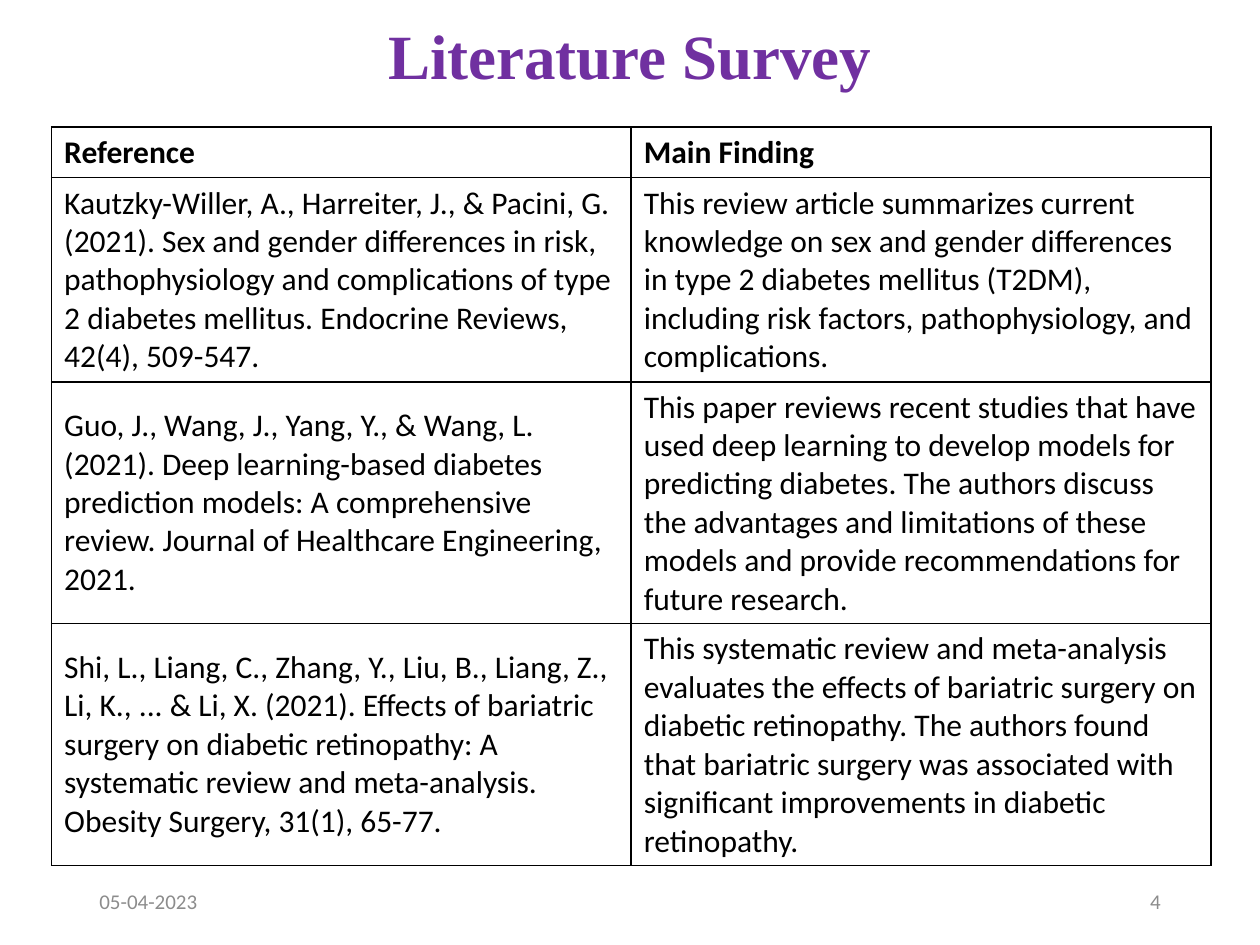
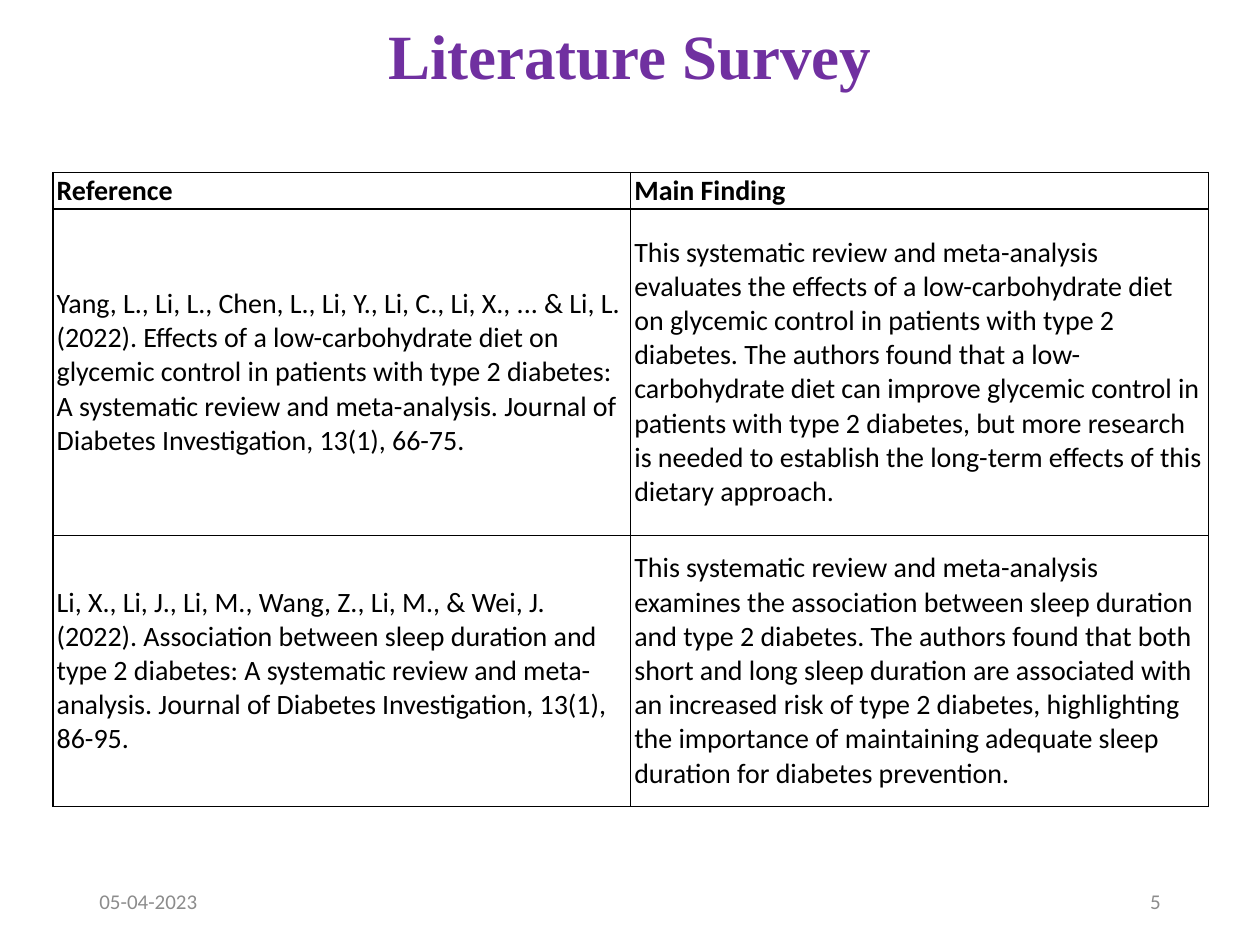
"""Builds two literature survey slides with reference tables."""
from lxml.etree import SubElement
from pptx import Presentation
from pptx.dml.color import RGBColor
from pptx.enum.text import MSO_ANCHOR as Anchor, MSO_AUTO_SIZE as AutoSize, PP_ALIGN as Align
from pptx.oxml import parse_xml
from pptx.oxml.ns import nsdecls, qn
from pptx.util import Inches, Pt

PURPLE = RGBColor(0x70, 0x30, 0xA0)
GREY = RGBColor(0x8C, 0x8C, 0x8C)
BLACK = RGBColor(0, 0, 0)
WHITE = RGBColor(0xFF, 0xFF, 0xFF)

HEADER = ("Reference", "Main Finding")
REVIEWS_2021 = [
    ("Kautzky-Willer, A., Harreiter, J., & Pacini, G. (2021). Sex and gender differences in risk, "
     "pathophysiology and complications of type 2 diabetes mellitus. Endocrine Reviews, 42(4), 509-547.",
     "This review article summarizes current knowledge on sex and gender differences in type 2 diabetes "
     "mellitus (T2DM), including risk factors, pathophysiology, and complications."),
    ("Guo, J., Wang, J., Yang, Y., & Wang, L. (2021). Deep learning-based diabetes prediction models: "
     "A comprehensive review. Journal of Healthcare Engineering, 2021.",
     "This paper reviews recent studies that have used deep learning to develop models for predicting "
     "diabetes. The authors discuss the advantages and limitations of these models and provide "
     "recommendations for future research."),
    ("Shi, L., Liang, C., Zhang, Y., Liu, B., Liang, Z., Li, K., ... & Li, X. (2021). Effects of bariatric "
     "surgery on diabetic retinopathy: A systematic review and meta-analysis. Obesity Surgery, 31(1), 65-77.",
     "This systematic review and meta-analysis evaluates the effects of bariatric surgery on diabetic "
     "retinopathy. The authors found that bariatric surgery was associated with significant improvements "
     "in diabetic retinopathy."),
]
REVIEWS_2022 = [
    ("Yang, L., Li, L., Chen, L., Li, Y., Li, C., Li, X., ... & Li, L. (2022). Effects of a "
     "low-carbohydrate diet on glycemic control in patients with type 2 diabetes: A systematic review and "
     "meta-analysis. Journal of Diabetes Investigation, 13(1), 66-75.",
     "This systematic review and meta-analysis evaluates the effects of a low-carbohydrate diet on glycemic "
     "control in patients with type 2 diabetes. The authors found that a low-carbohydrate diet can improve "
     "glycemic control in patients with type 2 diabetes, but more research is needed to establish the "
     "long-term effects of this dietary approach."),
    ("Li, X., Li, J., Li, M., Wang, Z., Li, M., & Wei, J. (2022). Association between sleep duration and "
     "type 2 diabetes: A systematic review and meta-analysis. Journal of Diabetes Investigation, 13(1), 86-95.",
     "This systematic review and meta-analysis examines the association between sleep duration and type 2 "
     "diabetes. The authors found that both short and long sleep duration are associated with an increased "
     "risk of type 2 diabetes, highlighting the importance of maintaining adequate sleep duration for "
     "diabetes prevention."),
]


def write(tf, text, size=18, font="Calibri", color=BLACK, bold=False, align=Align.LEFT, spacing=None):
    """Write one formatted paragraph into a text frame."""
    tf.word_wrap = True
    p = tf.paragraphs[0]
    p.alignment = align
    p.line_spacing = spacing
    r = p.add_run()
    r.text = text
    r.font.size, r.font.name, r.font.bold = Pt(size), font, bold
    r.font.color.rgb = color


def add_borders(cell, color=BLACK, width=1):
    """Draw the four borders of a table cell."""
    tc_pr = cell._tc.get_or_add_tcPr()
    for i, side in enumerate(("lnL", "lnR", "lnT", "lnB")):
        ln = parse_xml(f'<a:{side} {nsdecls("a")} w="{Pt(width)}"/>')
        fill = SubElement(ln, qn("a:solidFill"))
        SubElement(fill, qn("a:srgbClr"), val=str(color))
        tc_pr.insert(i, ln)


class Deck:
    """Holds the shared style and the current slide."""

    def __init__(self):
        """Start an empty presentation."""
        self.prs = Presentation()
        self.prs.slide_width, self.prs.slide_height = Inches(10), Inches(7.5)
        self.s = None

    def slide(self, title, date, number):
        """Add a slide with its title and footers."""
        self.s = self.prs.slides.add_slide(self.prs.slide_layouts[5])
        self.title(title)
        self.footer(date, 0.69, Align.LEFT)
        self.footer(number, 7.06, Align.RIGHT)

    def title(self, text):
        """Place and fill the title placeholder."""
        sp = self.s.shapes.title
        sp.left, sp.top, sp.width, sp.height = (Inches(v) for v in (0.69, 0.18, 8.62, 0.58))
        tf = sp.text_frame
        tf.auto_size, tf.vertical_anchor = AutoSize.NONE, Anchor.MIDDLE
        write(tf, text, size=36, font="Times New Roman", color=PURPLE, bold=True,
              align=Align.CENTER, spacing=0.9)

    def footer(self, text, left, align):
        """Add one footer text box."""
        sp = self.s.shapes.add_textbox(Inches(left), Inches(6.95), Inches(2.25), Inches(0.4))
        sp.text_frame.vertical_anchor = Anchor.MIDDLE
        write(sp.text_frame, text, size=12, color=GREY, align=align)

    def table(self, reviews, left, top, width, heights, size, inset=(0.1, 0.05)):
        """Add a bordered table of references and findings."""
        rows = [HEADER, *reviews]
        table = self.s.shapes.add_table(len(rows), len(HEADER), Inches(left), Inches(top),
                                        Inches(width), Inches(sum(heights))).table
        table.first_row = table.horz_banding = False
        for i, (texts, height) in enumerate(zip(rows, heights)):
            table.rows[i].height = Inches(height)
            for j, text in enumerate(texts):
                cell = table.cell(i, j)
                cell.fill.solid()
                cell.fill.fore_color.rgb = WHITE
                cell.margin_left = cell.margin_right = Inches(inset[0])
                cell.margin_top = cell.margin_bottom = Inches(inset[1])
                cell.vertical_anchor = Anchor.MIDDLE if i else Anchor.BOTTOM
                write(cell.text_frame, text, size=size, bold=i == 0)
                add_borders(cell)


def main():
    """Build both slides and save them."""
    deck = Deck()
    title, date = "Literature Survey", "05-04-2023"
    deck.slide(title, date, "4")
    deck.table(REVIEWS_2021, 0.41, 1.01, 9.2, (0.4, 1.62, 1.92, 1.92), 18)
    deck.slide(title, date, "5")
    deck.table(REVIEWS_2022, 0.42, 1.37, 9.17, (0.29, 2.59, 2.15), 16, inset=(0.03, 0.01))
    deck.prs.save("out.pptx")


if __name__ == "__main__":
    main()
